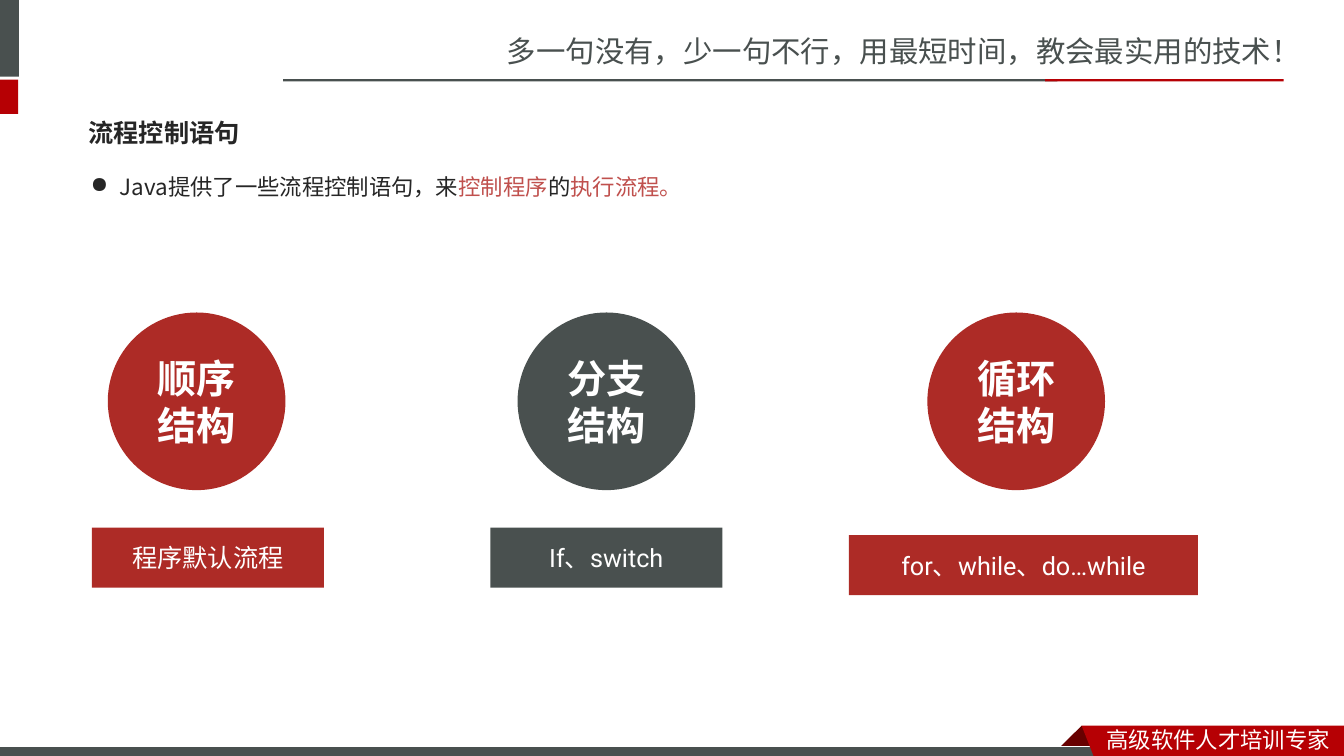
import pptx
import pptx.dml.color
import pptx.enum.shapes
import pptx.enum.text
import pptx.oxml
import pptx.oxml.ns
import pptx.util

Pt = pptx.util.Pt
SHAPES = pptx.enum.shapes.MSO_SHAPE
ANCHORS = pptx.enum.text.MSO_ANCHOR
ALIGN = pptx.enum.text.PP_ALIGN

GRAY, RED, DARK_RED = "49504F", "B60004", "680000"
BRICK, ACCENT, INK, WHITE = "AD2B26", "C0504D", "262626", "FFFFFF"
SANS_SC, SANS_JP, ROBOTO = "Noto Sans CJK SC", "Noto Sans CJK JP", "Roboto"


def color(code):
    return pptx.dml.color.RGBColor.from_string(code)


class Page:
    """The current slide and its style; all lengths are in points."""

    def __init__(self, slide):
        self.shapes = slide.shapes

    def paint(self, shape, fill, outline=None):
        shape.shadow.inherit = False
        shape.fill.solid()
        shape.fill.fore_color.rgb = color(fill)
        if outline:
            shape.line.color.rgb = color(outline)
            shape.line.width = Pt(0.75)
        else:
            shape.line.fill.background()
        return shape

    def shape(self, kind, box, fill, outline=None):
        return self.paint(self.shapes.add_shape(kind, *map(Pt, box)), fill, outline)

    def polygon(self, points, fill):
        corners = [(Pt(x), Pt(y)) for x, y in points]
        builder = self.shapes.build_freeform(*corners[0], scale=1.0)
        builder.add_line_segments(corners[1:], close=True)
        return self.paint(builder.convert_to_shape(), fill)

    def fill_text(self, shape, spans, face, size, bold=False, frame=None, para=None):
        text_frame = shape.text_frame
        paragraph = text_frame.paragraphs[0]
        for name, value in {"word_wrap": True, **(frame or {})}.items():
            setattr(text_frame, name, value)
        for name, value in (para or {}).items():
            setattr(paragraph, name, value)
        for words, code in spans:
            span = paragraph.add_run()
            span.text = words
            for name, value in {"name": face, "size": Pt(size), "bold": bold}.items():
                setattr(span.font, name, value)
            span.font.color.rgb = color(code)
            # East Asian characters follow the same face
            latin = span.font._element.find(pptx.oxml.ns.qn("a:latin"))
            east = pptx.oxml.parse_xml(f'<a:ea {pptx.oxml.ns.nsdecls("a")} typeface="{face}"/>')
            latin.addnext(east)
        return paragraph

    def text(self, box, spans, face, size, **style):
        return self.fill_text(self.shapes.add_textbox(*map(Pt, box)), spans, face, size, **style)

    def label(self, kind, box, fill, words, size, bold=False, side=7.2):
        frame = {"vertical_anchor": ANCHORS.MIDDLE,
                 "margin_left": Pt(side), "margin_right": Pt(side)}
        self.fill_text(self.shape(kind, box, fill), [(words, WHITE)], ROBOTO, size, bold,
                       frame, {"alignment": ALIGN.CENTER})

    def bullet(self, paragraph, mark, indent):
        properties = paragraph._p.get_or_add_pPr()
        properties.set("marL", str(Pt(indent)))
        properties.set("indent", str(-Pt(indent)))
        properties.append(pptx.oxml.parse_xml(
            f'<a:buChar {pptx.oxml.ns.nsdecls("a")} char="{mark}"/>'))


def main():
    deck = pptx.Presentation()
    deck.slide_width, deck.slide_height = Pt(960), Pt(540)
    page = Page(deck.slides.add_slide(deck.slide_layouts[6]))

    # Header: slogan, side tabs and rules
    page.text((355, 20, 605.5, 34), [("多一句没有，少一句不行，用最短时间，教会最实用的技术！", GRAY)],
              SANS_SC, 21)
    for box, fill in [((-4.5, 0, 18, 54.7), GRAY), ((-4.5, 56.9, 17.5, 24.5), RED),
                      ((202.3, 56.6, 553, 1.6), GRAY), ((746.6, 56.6, 170.4, 1.6), RED)]:
        page.shape(SHAPES.RECTANGLE, box, fill)

    # Footer: bar and folded ribbon
    page.polygon([(772.6, 518.4), (788.4, 534.2), (787.7, 535), (757.4, 535), (756.7, 534.2)],
                 DARK_RED)
    page.shape(SHAPES.RECTANGLE, (-0.7, 533.5, 792, 8.6), GRAY, WHITE)
    page.polygon([(772.6, 518.4), (960, 518.4), (960, 542.9), (782, 542.2)], RED)
    page.text((783.4, 514.8, 176.6, 26.6), [("高级软件人才培训专家", WHITE)], SANS_SC, 16)

    # Heading and introduction
    page.text((56.2, 74.2, 846.7, 41), [("流程控制语句", INK)], SANS_JP, 18, bold=True,
              frame={"vertical_anchor": ANCHORS.MIDDLE})
    introduction = page.text(
        (57.6, 110.2, 594, 33.8),
        [("Java提供了一些流程控制语句，来", INK), ("控制程序", ACCENT),
         ("的", INK), ("执行流程。", ACCENT)],
        SANS_JP, 16, para={"line_spacing": 1.5})
    page.bullet(introduction, "●", 21)

    # Three structures: circle above, statements below
    structures = [("顺序结构", BRICK, "程序默认流程", (65.6, 376.8, 165.8, 43)),
                  ("分支结构", GRAY, "If、switch", (350.2, 376.8, 165.8, 43)),
                  ("循环结构", BRICK, "for、while、do…while", (606.4, 382.2, 249.3, 43))]
    for index, (name, fill, statements, box) in enumerate(structures):
        circle = (77 + 292.7 * index, 223.2, 126.9, 126.9)
        page.label(SHAPES.OVAL, circle, fill, name, 28, bold=True)
        page.label(SHAPES.RECTANGLE, box, fill, statements, 18, side=0)

    deck.save("out.pptx")


if __name__ == "__main__":
    main()
